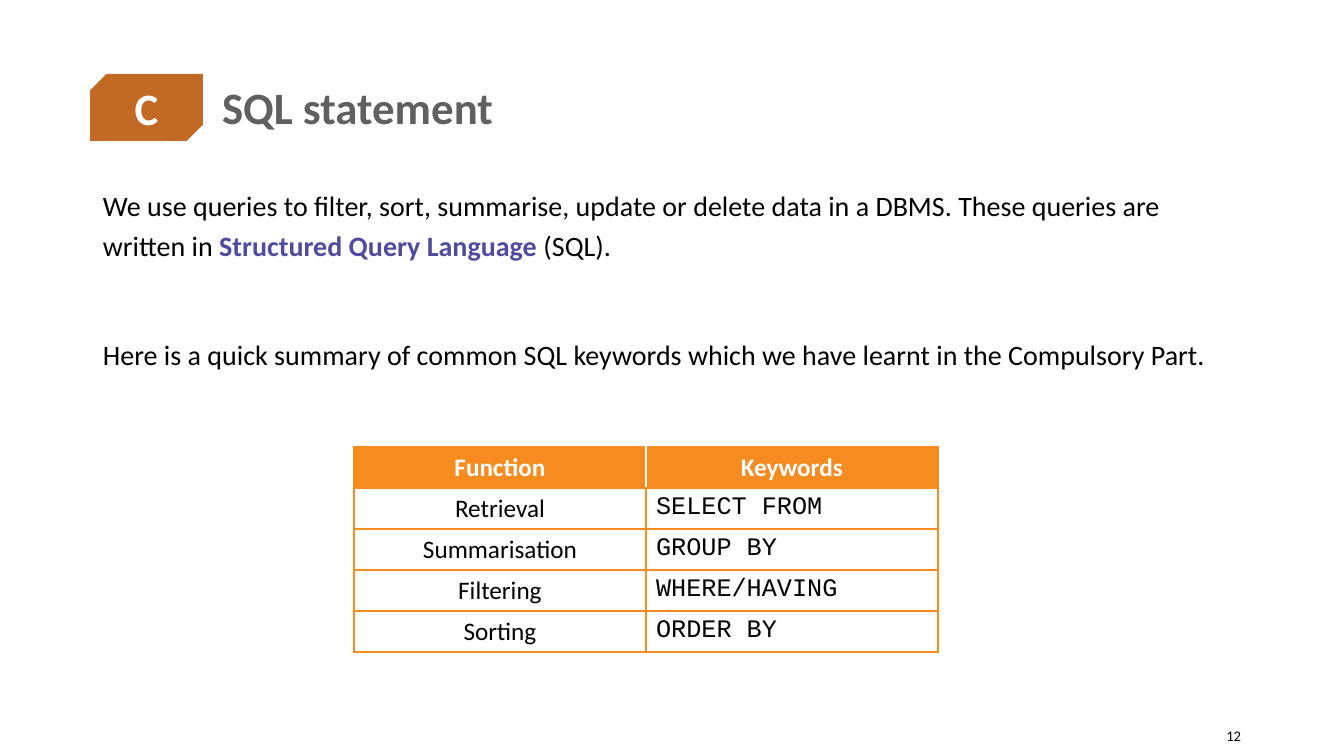
from dataclasses import dataclass

from lxml import etree
from pptx import Presentation
from pptx.dml.color import RGBColor
from pptx.enum.shapes import MSO_SHAPE
from pptx.enum.text import MSO_ANCHOR, MSO_AUTO_SIZE, PP_ALIGN
from pptx.oxml.ns import qn
from pptx.util import Pt

LEFT, CENTER, RIGHT = PP_ALIGN.LEFT, PP_ALIGN.CENTER, PP_ALIGN.RIGHT
MIDDLE = MSO_ANCHOR.MIDDLE
NO_AUTOFIT = MSO_AUTO_SIZE.NONE
SNIPPED = MSO_SHAPE.SNIP_2_DIAG_RECTANGLE
TITLE_ONLY = 5
EMU_PER_PX = 914400 / 100.8


@dataclass(frozen=True)
class Theme:
    font: str = "Calibri"
    code_font: str = "Courier New"
    black: str = "000000"
    white: str = "FFFFFF"
    heading: str = "606060"
    badge: str = "C26A25"
    term: str = "504B9E"
    table: str = "F68B1F"
    heading_size: float = 32
    body_size: float = 20
    table_size: float = 18
    number_size: float = 10.5


THEME = Theme()

INTRODUCTION = [
    ("We use queries to filter, sort, summarise, update or delete data in a DBMS. "
     "These queries are written in ", False),
    ("Structured Query Language", True),
    (" (SQL).", False),
]
SUMMARY = [
    ("Here is a quick summary of common SQL keywords which we have learnt "
     "in the Compulsory Part.", False),
]
KEYWORD_ROWS = [
    ("Function", "Keywords"),
    ("Retrieval", "SELECT FROM"),
    ("Summarisation", "GROUP BY"),
    ("Filtering", "WHERE/HAVING"),
    ("Sorting", "ORDER BY"),
]


def px(length):
    return round(length * EMU_PER_PX)


def emu_box(box):
    return [px(length) for length in box]


def color(value):
    return RGBColor.from_string(value)


def style(paragraph, size, text_color, align=LEFT, bold=False, font=THEME.font):
    paragraph.alignment = align
    paragraph.font.name = font
    paragraph.font.size = Pt(size)
    paragraph.font.bold = bold
    paragraph.font.color.rgb = color(text_color)


def add_heading(slide, box, letter, title_text):
    left, top, width, height = box
    # Lettered badge
    badge = slide.shapes.add_shape(SNIPPED, *emu_box((left, top, 113, 67)))
    badge.adjustments[0], badge.adjustments[1] = 0.245, 0
    badge.shadow.inherit = False
    badge.fill.solid()
    badge.fill.fore_color.rgb = color(THEME.badge)
    badge.line.fill.background()
    frame = badge.text_frame
    frame.margin_left = frame.margin_right = 0
    frame.margin_top = frame.margin_bottom = 0
    frame.vertical_anchor = MIDDLE
    frame.text = letter
    style(frame.paragraphs[0], THEME.heading_size, THEME.white, CENTER, True)

    # Title beside the badge
    title = slide.shapes.title
    title.left, title.top, title.width, title.height = emu_box(
        (left + 122, top - 34, width - 122, height))
    frame = title.text_frame
    frame.auto_size = NO_AUTOFIT
    frame.vertical_anchor = MIDDLE
    frame.text = title_text
    style(frame.paragraphs[0], THEME.heading_size, THEME.heading, LEFT, True)
    frame.paragraphs[0].line_spacing = 0.9


def add_body(slide, box):
    frame = slide.shapes.add_textbox(*emu_box(box)).text_frame
    frame.word_wrap = True
    for index, runs in enumerate((INTRODUCTION, SUMMARY)):
        paragraph = frame.add_paragraph() if index else frame.paragraphs[0]
        style(paragraph, THEME.body_size, THEME.black)
        paragraph.line_spacing = 1.2
        paragraph.space_before = Pt(49 if index else 0)
        for text, is_term in runs:
            run = paragraph.add_run()
            run.text = text
            if is_term:
                run.font.bold = True
                run.font.color.rgb = color(THEME.term)


def set_borders(cell, side_colors):
    properties = cell._tc.get_or_add_tcPr()
    for side, side_color in side_colors.items():
        line = etree.SubElement(properties, qn(f"a:ln{side}"), w=str(Pt(1)))
        fill = etree.SubElement(line, qn("a:solidFill"))
        etree.SubElement(fill, qn("a:srgbClr"), val=side_color)


def add_keyword_table(slide, box):
    row_count, column_count = len(KEYWORD_ROWS), len(KEYWORD_ROWS[0])
    table = slide.shapes.add_table(row_count, column_count, *emu_box(box)).table
    for column in table.columns:
        column.width = px(box[2] // column_count)
    for row in table.rows:
        row.height = px(box[3] // row_count)

    for row_index, row_texts in enumerate(KEYWORD_ROWS):
        for column_index, text in enumerate(row_texts):
            cell = table.cell(row_index, column_index)
            is_header, is_code = row_index == 0, row_index > 0 and column_index > 0
            side_colors = dict.fromkeys("LRTB", THEME.table)
            if is_header:
                # White divider between the two header cells
                side_colors["L" if column_index else "R"] = THEME.white
            set_borders(cell, side_colors)
            if is_header:
                cell.fill.solid()
                cell.fill.fore_color.rgb = color(THEME.table)
            else:
                cell.fill.background()
            cell.text = text
            style(cell.text_frame.paragraphs[0], THEME.table_size,
                  THEME.white if is_header else THEME.black,
                  LEFT if is_code else CENTER, is_header,
                  THEME.code_font if is_code else THEME.font)


def add_slide_number(slide, box, number):
    frame = slide.shapes.add_textbox(*emu_box(box)).text_frame
    frame.word_wrap = True
    frame.vertical_anchor = MIDDLE
    frame.text = number
    style(frame.paragraphs[0], THEME.number_size, THEME.black, RIGHT)


def main():
    presentation = Presentation()
    presentation.slide_width, presentation.slide_height = px(1344), px(756)
    slide = presentation.slides.add_slide(presentation.slide_layouts[TITLE_ONLY])
    add_heading(slide, (90, 74, 1162, 139), "C", "SQL statement")
    add_body(slide, (93, 177, 1159, 516))
    add_keyword_table(slide, (354, 447, 584, 205))
    add_slide_number(slide, (1166, 716, 85, 40), "12")
    presentation.save("out.pptx")


if __name__ == "__main__":
    main()
